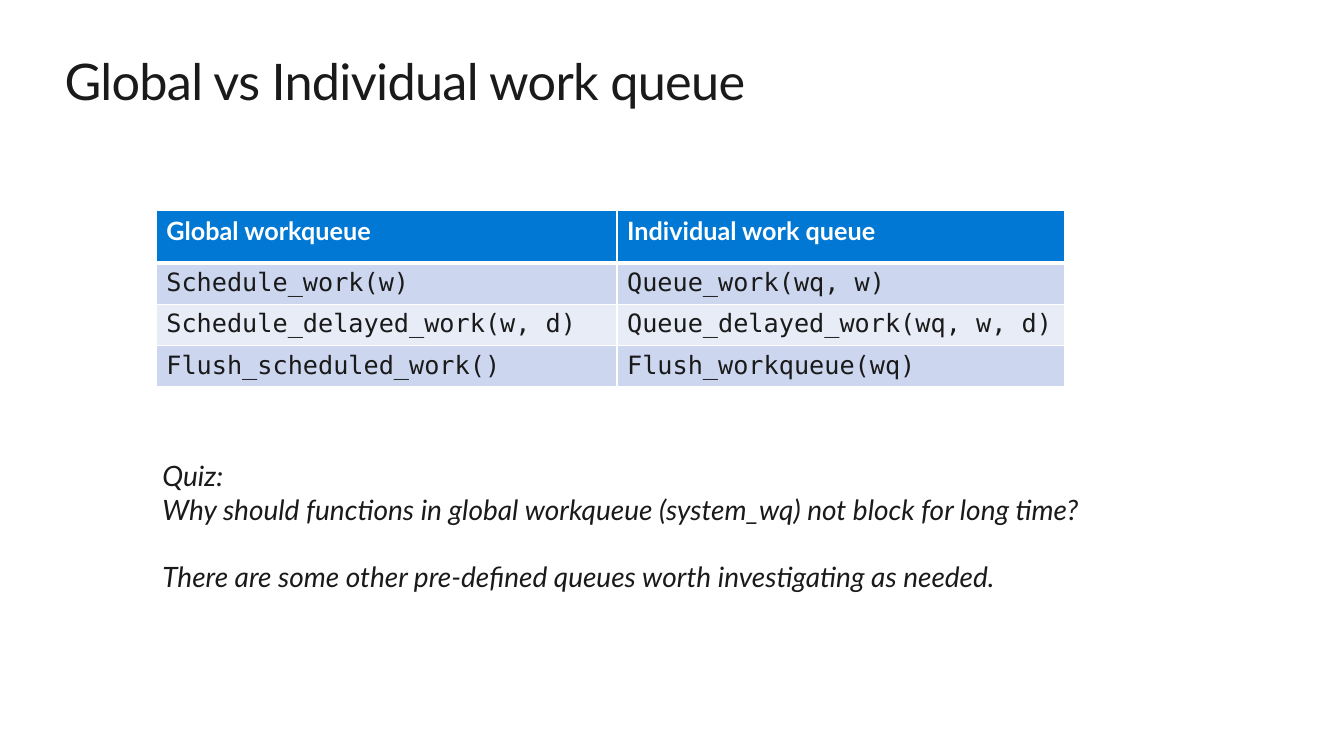
from dataclasses import dataclass

from lxml import etree
from pptx import Presentation
from pptx.dml.color import RGBColor
from pptx.enum.text import MSO_AUTO_SIZE
from pptx.oxml.ns import qn
from pptx.util import Inches, Pt

FIT_SHAPE = MSO_AUTO_SIZE.SHAPE_TO_FIT_TEXT

TITLE = "Global vs Individual work queue"
ROWS = [
    ("Global workqueue", "Individual work queue"),
    ("Schedule_work(w)", "Queue_work(wq, w)"),
    ("Schedule_delayed_work(w, d)", "Queue_delayed_work(wq, w, d)"),
    ("Flush_scheduled_work()", "Flush_workqueue(wq)"),
]
QUIZ = [
    "Quiz:",
    "Why should functions in global workqueue (system_wq) not block for long time?",
    "There are some other pre-defined queues worth investigating as needed.",
]

SLIDE_W, SLIDE_H = 13.33, 7.5
TITLE_BOX = (0.64, 0.5, 12.05, 0.61)
QUIZ_BOX = (1.61, 4.55, 10.18, 1.35)
TABLE_LEFT, TABLE_TOP = 1.55, 2.09
COL_W = (4.57, 4.44)
HEAD_H, BODY_H = 0.52, 0.41


@dataclass(frozen=True)
class Theme:
    sans: str = "Lato"
    mono: str = "DejaVu Sans Mono"
    ink: str = "1A1A1A"
    white: str = "FFFFFF"
    head: str = "0078D4"
    bands: tuple = ("E7ECF7", "CCD6EF")
    title_pt: int = 36
    table_pt: int = 18
    quiz_pt: int = 20
    rule_pt: int = 1
    head_rule_pt: int = 3


T = Theme()


def style(p, size, font=T.sans, color=T.ink, bold=False, italic=False):
    for r in p.runs:
        f = r.font
        f.size, f.name, f.bold, f.italic = Pt(size), font, bold, italic
        f.color.rgb = RGBColor.from_string(color)


def add_text(s, box, lines, size, italic=False):
    tf = s.shapes.add_textbox(*map(Inches, box)).text_frame
    tf.margin_left = tf.margin_top = tf.margin_right = tf.margin_bottom = 0
    tf.word_wrap = True
    tf.auto_size = FIT_SHAPE
    tf.text = "\n".join(lines)
    for p in tf.paragraphs:
        style(p, size, italic=italic)
    return tf


def set_borders(cell, top, bottom):
    tcPr = cell._tc.get_or_add_tcPr()
    widths = {"lnL": T.rule_pt, "lnR": T.rule_pt, "lnT": top, "lnB": bottom}
    for tag, width in widths.items():
        ln = etree.SubElement(tcPr, qn("a:" + tag), w=str(Pt(width)))
        fill = etree.SubElement(ln, qn("a:solidFill"))
        etree.SubElement(fill, qn("a:srgbClr"), val=T.white)


def add_queue_table(s):
    heights = [HEAD_H] + [BODY_H] * (len(ROWS) - 1)
    box = (TABLE_LEFT, TABLE_TOP, sum(COL_W), sum(heights))
    table = s.shapes.add_table(len(ROWS), len(COL_W), *map(Inches, box)).table
    for col, width in zip(table.columns, COL_W):
        col.width = Inches(width)
    for i, (row, height) in enumerate(zip(table.rows, heights)):
        row.height = Inches(height)
        head = i == 0
        top = T.head_rule_pt if i == 1 else T.rule_pt
        bottom = T.head_rule_pt if head else T.rule_pt
        for cell, text in zip(row.cells, ROWS[i]):
            set_borders(cell, top, bottom)
            cell.fill.solid()
            cell.fill.fore_color.rgb = RGBColor.from_string(T.head if head else T.bands[i % 2])
            cell.text_frame.text = text
            style(cell.text_frame.paragraphs[0], T.table_pt,
                  T.sans if head else T.mono, T.white if head else T.ink, bold=head)


def main():
    prs = Presentation()
    prs.slide_width, prs.slide_height = Inches(SLIDE_W), Inches(SLIDE_H)
    s = prs.slides.add_slide(prs.slide_layouts[6])
    title = add_text(s, TITLE_BOX, [TITLE], T.title_pt)
    title.paragraphs[0].runs[0].font._element.set("spc", "-50")
    add_queue_table(s)
    quiz = add_text(s, QUIZ_BOX, QUIZ, T.quiz_pt, italic=True)
    quiz.paragraphs[-1].space_before = Pt(1.2 * T.quiz_pt)
    prs.save("out.pptx")


if __name__ == "__main__":
    main()
